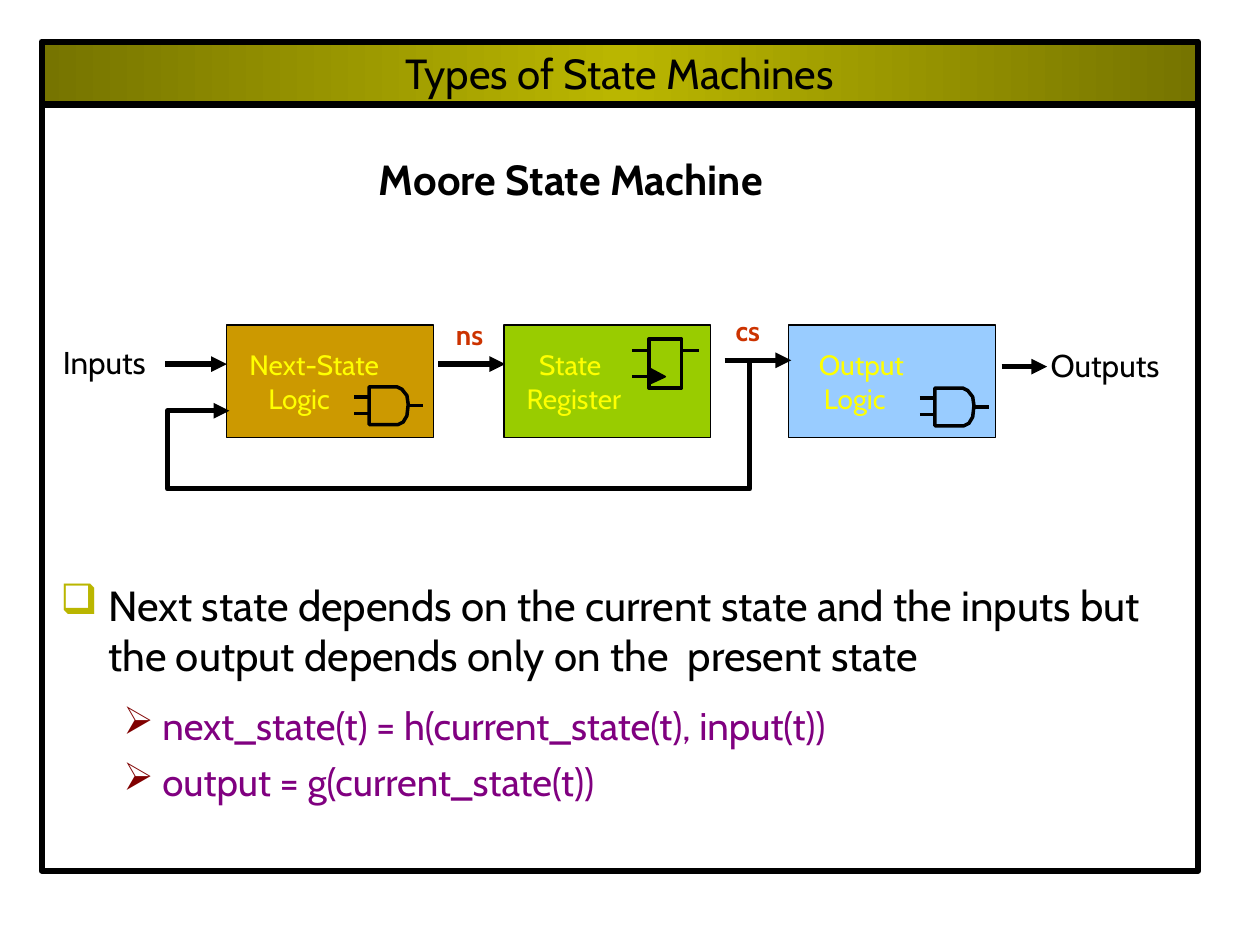
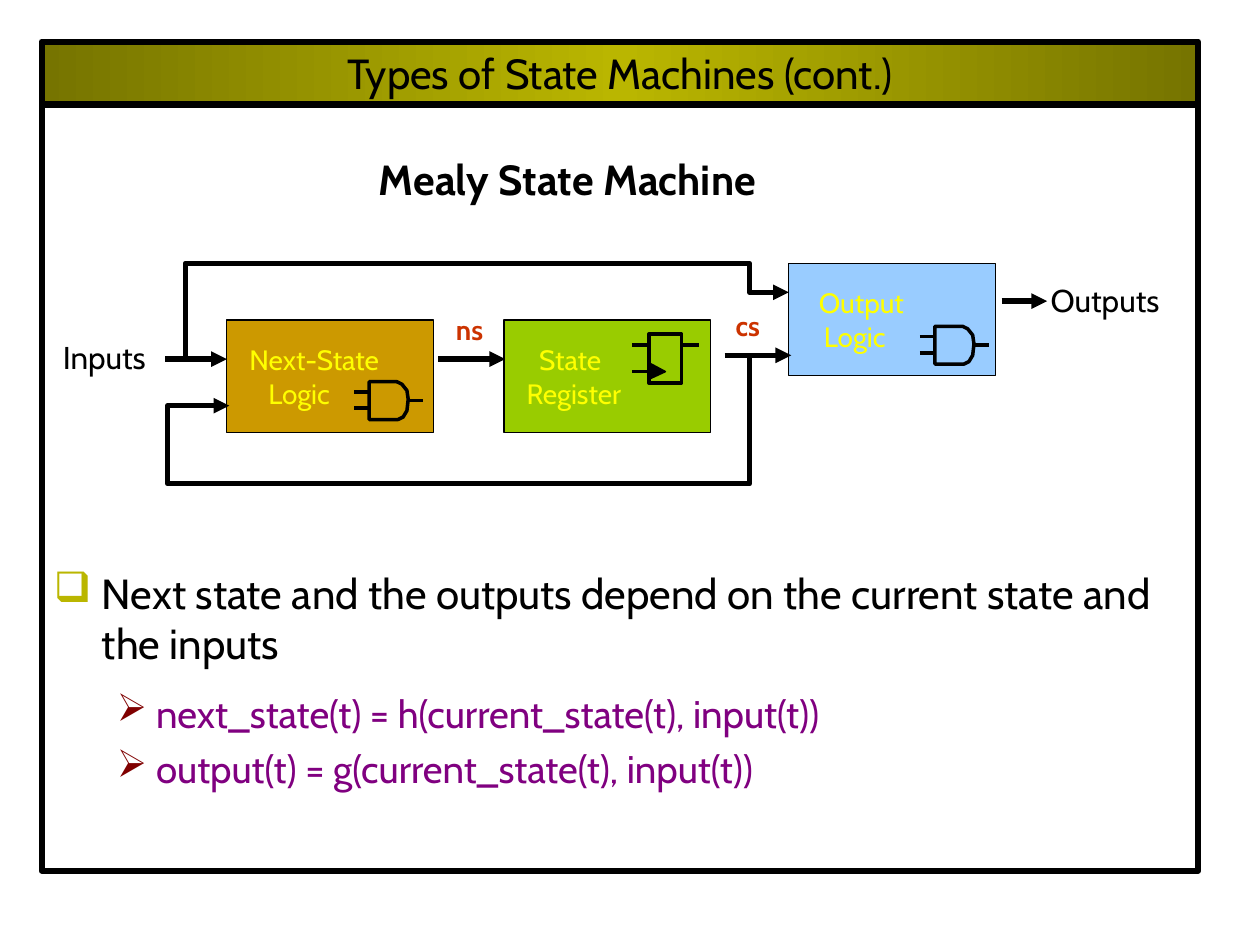
from copy import deepcopy
from pptx import Presentation
from pptx.dml.color import RGBColor
from pptx.enum.shapes import MSO_CONNECTOR as Connector, MSO_SHAPE as Shape
from pptx.enum.text import MSO_ANCHOR as Anchor, MSO_AUTO_SIZE as AutoSize, PP_ALIGN as Align
from pptx.oxml.ns import qn
from pptx.oxml.xmlchemy import OxmlElement
from pptx.util import Inches, Pt

FONT = "Cabin"
BLACK, OLIVE, DARK_OLIVE = "000000", "BAB600", "767400"
PURPLE, MAROON, RED, YELLOW = "800080", "800000", "CC3300", "FFFF00"

MACHINES = [
    dict(
        title="Types of State Machines",
        heading="Moore State Machine", heading_width=3.74,
        row=2.58, output_row=2.58, output_arrow=0.33, bypass=False,
        notes_at=(0.38, 4.35, 9.08, 2.0),
        statement="Next state depends on the current state and the inputs but "
                  "the output depends only on the  present state",
        equations=["next_state(t) = h(current_state(t), input(t))",
                   "output = g(current_state(t))"],
    ),
    dict(
        title="Types of State Machines (cont.)",
        heading="Mealy State Machine", heading_width=3.67,
        row=2.54, output_row=2.09, output_arrow=0.3, bypass=True,
        notes_at=(0.33, 4.25, 9.18, 2.08),
        statement="Next state and the outputs depend on the current state and the inputs",
        equations=["next_state(t) = h(current_state(t), input(t))",
                   "output(t) = g(current_state(t), input(t))"],
    ),
]

FRAME_LEFT, FRAME_WIDTH, BAND_TOP, BAND_HEIGHT, FRAME_HEIGHT = 0.33, 9.18, 0.33, 0.5, 6.08
BLOCK_WIDTH, BLOCK_HEIGHT = 1.64, 0.89
NEXT_X, REGISTER_X, OUTPUT_X = 1.8, 4.0, 6.26

NEXT_LABEL = [("Next-State", 0.18), ("Logic", 0.33)]
REGISTER_LABEL = [("State", 0.28), ("Register", 0.18)]
OUTPUT_LABEL = [("Output", 0.24), ("Logic", 0.28)]

GATE_OUTLINE = [(0, 0), (0.22, 0), (0.26, 0.02), (0.3, 0.07), (0.31, 0.14),
                (0.3, 0.23), (0.27, 0.28), (0.23, 0.3), (0, 0.3)]
GATE_PINS = [(-0.12, 0, 0.08), (-0.12, 0, 0.21), (0.31, 0.43, 0.15)]
FLIPFLOP_SIZE = (0.26, 0.39)
FLIPFLOP_CLOCK = [(0, 0.23), (0.13, 0.3), (0, 0.36)]
FLIPFLOP_PINS = [(-0.13, 0, 0.09), (-0.13, 0, 0.3), (0.27, 0.4, 0.09)]

FEEDBACK = [(5.95, 0.29), (5.95, 1.3), (1.33, 1.3), (1.33, 0.68), (1.82, 0.68)]
BYPASS = [(1.47, 0.31), (1.47, -0.45), (5.95, -0.45), (5.95, -0.22), (6.26, -0.22)]


def color(value):
    return RGBColor.from_string(value)


def inches(*lengths):
    return [Inches(length) for length in lengths]


def paint(shape, fill, line_width):
    shape.shadow.inherit = False
    if fill:
        shape.fill.solid()
        shape.fill.fore_color.rgb = color(fill)
    else:
        shape.fill.background()
    stroke(shape, line_width)


def stroke(shape, width):
    shape.line.color.rgb = color(BLACK)
    shape.line.width = Pt(width)


def add_arrowhead(shape):
    head = OxmlElement("a:tailEnd")
    head.set("type", "triangle")
    shape.line._get_or_add_ln().append(head)


def add_run(paragraph, text, size, text_color, bold=False):
    run = paragraph.add_run()
    run.text = text
    run.font.name = FONT
    run.font.size = Pt(size)
    run.font.bold = bold
    run.font.color.rgb = color(text_color)


def indent(paragraph, left, first=0):
    properties = paragraph._p.get_or_add_pPr()
    properties.set("marL", str(Inches(left)))
    properties.set("indent", str(Inches(first)))
    return properties


def add_bullet(paragraph, mark, mark_color, left, first):
    properties = indent(paragraph, left, first)
    tint, value, char = (OxmlElement(tag) for tag in ("a:buClr", "a:srgbClr", "a:buChar"))
    value.set("val", mark_color)
    tint.append(value)
    char.set("char", mark)
    properties.extend([tint, char])


def add_rectangle(slide, x, y, width, height, fill, line_width):
    rectangle = slide.shapes.add_shape(Shape.RECTANGLE, *inches(x, y, width, height))
    paint(rectangle, fill, line_width)
    return rectangle


def add_line(slide, start, end, y, width=3, arrow=True):
    line = slide.shapes.add_connector(Connector.STRAIGHT, *inches(start, y, end, y))
    stroke(line, width)
    if arrow:
        add_arrowhead(line)
    line._element.spPr.append(OxmlElement("a:effectLst"))


def add_outline(slide, points, x, y, line_width, fill=None, closed=True):
    corners = [inches(x + dx, y + dy) for dx, dy in points]
    builder = slide.shapes.build_freeform(*corners[0])
    builder.add_line_segments(corners[1:], close=closed)
    outline = builder.convert_to_shape()
    paint(outline, fill, line_width)
    return outline


def add_route(slide, points, y):
    add_arrowhead(add_outline(slide, points, 0, y, 3, closed=False))


def add_label(slide, text, x, y, width, height, size, text_color=BLACK, bold=False):
    frame = slide.shapes.add_textbox(*inches(x, y, width, height)).text_frame
    frame.word_wrap = False
    frame.auto_size = AutoSize.SHAPE_TO_FIT_TEXT
    add_run(frame.paragraphs[0], text, size, text_color, bold)


def add_block(slide, label, x, y, fill):
    block = add_rectangle(slide, x, y, BLOCK_WIDTH, BLOCK_HEIGHT, fill, 0.75)
    frame = block.text_frame
    frame.margin_left = frame.margin_right = 0
    frame.vertical_anchor = Anchor.MIDDLE
    frame.word_wrap = True
    for index, (text, left) in enumerate(label):
        paragraph = frame.add_paragraph() if index else frame.paragraphs[0]
        paragraph.alignment = Align.LEFT
        indent(paragraph, left)
        add_run(paragraph, text, 16, YELLOW)


def add_pins(slide, pins, x, y):
    for start, end, height in pins:
        add_line(slide, x + start, x + end, y + height, width=2, arrow=False)


def add_gate(slide, x, y):
    add_outline(slide, GATE_OUTLINE, x, y, 2)
    add_pins(slide, GATE_PINS, x, y)


def add_flipflop(slide, x, y):
    add_rectangle(slide, x, y, *FLIPFLOP_SIZE, None, 2)
    add_outline(slide, FLIPFLOP_CLOCK, x, y, 1, BLACK)
    add_pins(slide, FLIPFLOP_PINS, x, y)


def add_title(slide, text):
    add_rectangle(slide, FRAME_LEFT, BAND_TOP + BAND_HEIGHT, FRAME_WIDTH, FRAME_HEIGHT, None, 3.5)
    title = slide.shapes.title
    title.left, title.top, title.width, title.height = inches(
        FRAME_LEFT, BAND_TOP, FRAME_WIDTH, BAND_HEIGHT)
    title.fill.gradient()
    title.fill.gradient_angle = 0
    stop_list = title._element.spPr.find(qn("a:gradFill")).find(qn("a:gsLst"))
    stop_list.insert(1, deepcopy(stop_list[0]))
    for stop, position, shade in zip(title.fill.gradient_stops, (0, 0.5, 1),
                                     (DARK_OLIVE, OLIVE, DARK_OLIVE)):
        stop.position = position
        stop.color.rgb = color(shade)
    stroke(title, 3.5)
    frame = title.text_frame
    frame.auto_size = AutoSize.NONE
    frame.vertical_anchor = Anchor.MIDDLE
    frame.paragraphs[0].alignment = Align.CENTER
    add_run(frame.paragraphs[0], text, 24, BLACK)


def add_notes(slide, machine):
    frame = slide.shapes.add_textbox(*inches(*machine["notes_at"])).text_frame
    frame.word_wrap = True
    frame.margin_top = Inches(0.25)
    statement = frame.paragraphs[0]
    statement.space_before = Pt(6)
    statement.space_after = Pt(7)
    add_bullet(statement, "❑", OLIVE, 0.38, -0.38)
    add_run(statement, machine["statement"], 24, BLACK)
    for text in machine["equations"]:
        equation = frame.add_paragraph()
        equation.level = 1
        equation.space_before = Pt(5.5)
        add_bullet(equation, "➢", MAROON, 0.81, -0.31)
        add_run(equation, text, 22, PURPLE)


def add_diagram(slide, machine):
    row, output_row = machine["row"], machine["output_row"]
    output_y = output_row + machine["output_arrow"]

    add_block(slide, NEXT_LABEL, NEXT_X, row, "CC9900")
    add_gate(slide, NEXT_X + 1.13, row + 0.49)
    add_block(slide, REGISTER_LABEL, REGISTER_X, row, "99CC00")
    add_flipflop(slide, REGISTER_X + 1.15, row + 0.11)
    add_block(slide, OUTPUT_LABEL, OUTPUT_X, output_row, "99CCFF")
    add_gate(slide, OUTPUT_X + 1.16, output_row + 0.5)

    add_label(slide, "Inputs", 0.4, row + 0.09, 0.96, 0.4, 18)
    add_label(slide, "Outputs", 8.24, output_y - 0.21, 1.16, 0.4, 18)
    add_label(slide, "ns", 3.52, row - 0.11, 0.45, 0.37, 16, RED, True)
    add_label(slide, "cs", 5.74, row - 0.14, 0.42, 0.37, 16, RED, True)

    add_line(slide, 1.31, NEXT_X, row + 0.31)
    add_line(slide, 3.48, 4.01, row + 0.31)
    add_line(slide, 5.75, 6.28, row + 0.28)
    add_line(slide, 7.95, 8.31, output_y)
    add_route(slide, FEEDBACK, row)
    if machine["bypass"]:
        add_route(slide, BYPASS, row)


def main():
    deck = Presentation()
    deck.slide_width, deck.slide_height = inches(10, 7.5)
    title_only = deck.slide_layouts[5]
    for machine in MACHINES:
        slide = deck.slides.add_slide(title_only)
        add_title(slide, machine["title"])
        add_label(slide, machine["heading"], 2.91, 1.17, machine["heading_width"], 0.5, 24, bold=True)
        add_notes(slide, machine)
        add_diagram(slide, machine)
    deck.save("out.pptx")


if __name__ == "__main__":
    main()
